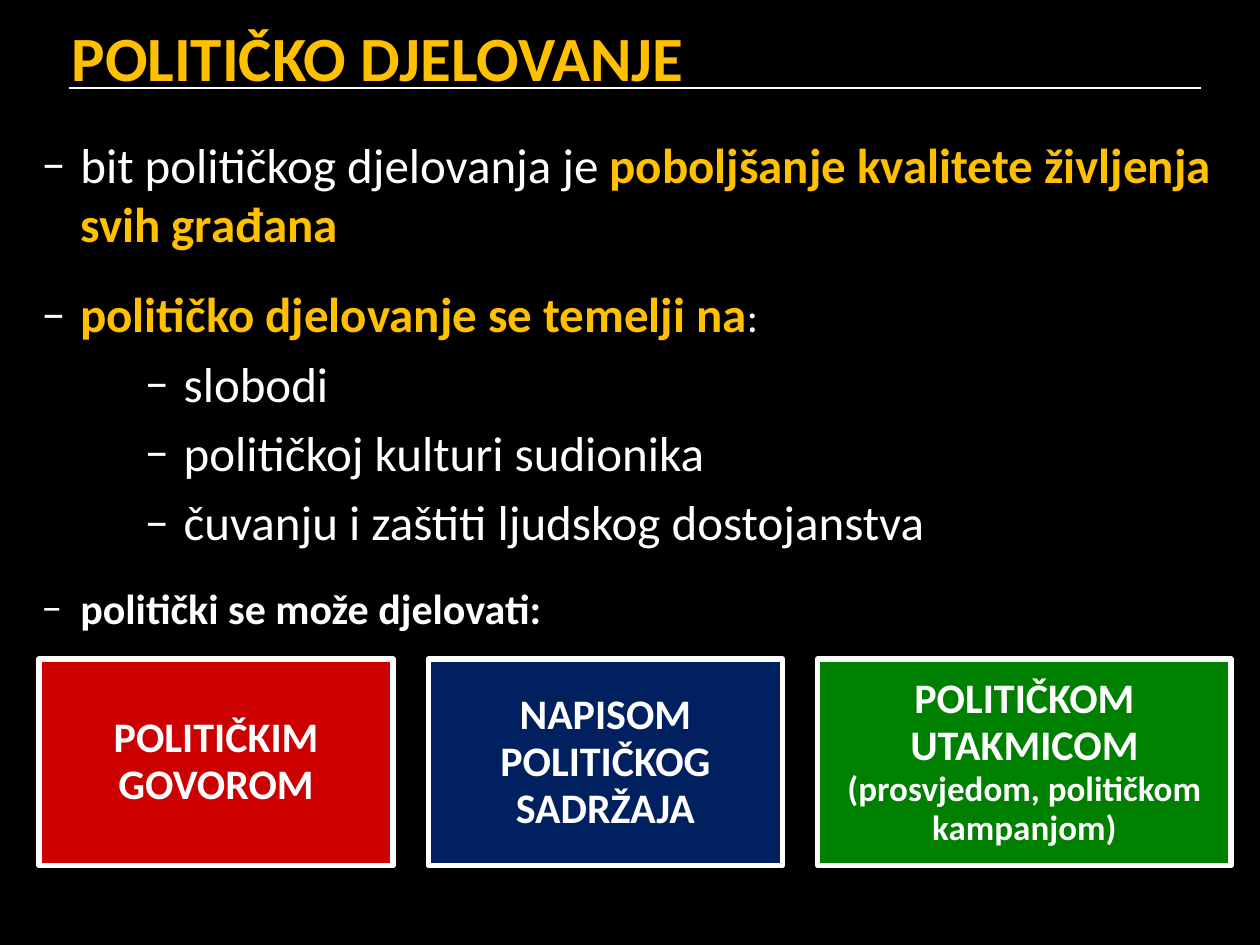
from dataclasses import dataclass

from lxml import etree
from pptx import Presentation
from pptx.dml.color import RGBColor
from pptx.enum import shapes, text
from pptx.oxml import ns
from pptx.util import Inches, Pt


@dataclass(frozen=True)
class Theme:
    font: str = "Calibri"
    background: RGBColor = RGBColor(0, 0, 0)
    white: RGBColor = RGBColor(255, 255, 255)
    gold: RGBColor = RGBColor(0xFF, 0xC0, 0)
    red: RGBColor = RGBColor(0xCC, 0, 0)
    navy: RGBColor = RGBColor(0, 0x20, 0x60)
    green: RGBColor = RGBColor(0, 0x80, 0)
    title: int = 36
    body: int = 28
    label: int = 24
    detail: int = 20


THEME = Theme()


def style_font(font, size, color=THEME.white, bold=False):
    font.name = THEME.font
    font.size = Pt(size)
    font.color.rgb = color
    font.bold = bold


def add_run(paragraph, wording, *style):
    run = paragraph.add_run()
    run.text = wording
    style_font(run.font, *style)


def add_dash(paragraph, indent):
    """Give the paragraph a white dash bullet with a hanging indent."""
    properties = paragraph._p.get_or_add_pPr()
    properties.set("marL", str(Inches(indent)))
    properties.set("indent", str(Inches(-0.31)))
    color = etree.SubElement(properties, ns.qn("a:buClr"))
    etree.SubElement(color, ns.qn("a:srgbClr"), val=str(THEME.white))
    etree.SubElement(properties, ns.qn("a:buFont"), typeface=THEME.font)
    etree.SubElement(properties, ns.qn("a:buChar"), char="–")


def add_title(slide, left, top, width, height):
    box = slide.shapes.add_textbox(left, top, width, height)
    frame = box.text_frame
    frame.word_wrap = True
    frame.margin_top = Inches(0.07)
    paragraph = frame.paragraphs[0]
    paragraph.text = "POLITIČKO DJELOVANJE"
    style_font(paragraph.font, THEME.title, THEME.gold, True)


def add_rule(slide, left, top, width):
    line = slide.shapes.add_connector(
        shapes.MSO_CONNECTOR.STRAIGHT, left, top, left + width, top)
    line.line.color.rgb = THEME.white
    line.line.width = Pt(1)
    etree.SubElement(line._element.spPr, ns.qn("a:effectLst"))


def add_points(slide, left, top, width, height):
    plain = (THEME.body,)
    strong = (THEME.body, THEME.gold, True)
    points = [
        (0, [("bit političkog djelovanja je ", plain),
             ("poboljšanje kvalitete življenja svih građana", strong)]),
        (0, [("političko djelovanje se temelji na", strong),
             (":", (THEME.label,))]),
        (1, [("slobodi", plain)]),
        (1, [("političkoj kulturi sudionika", plain)]),
        (1, [("čuvanju i zaštiti ljudskog dostojanstva", plain)]),
        (0, [("politički se može djelovati:",
              (THEME.label, THEME.white, True))]),
    ]
    frame = slide.shapes.add_textbox(left, top, width, height).text_frame
    frame.word_wrap = True
    for index, (level, runs) in enumerate(points):
        paragraph = frame.add_paragraph() if index else frame.paragraphs[0]
        paragraph.level = level
        paragraph.space_before = Pt(6 if level else 18)
        add_dash(paragraph, 1.13 if level else 0.31)
        for wording, style in runs:
            add_run(paragraph, wording, *style)


def add_card(slide, left, top, width, height, fill, label, detail=""):
    card = slide.shapes.add_shape(
        shapes.MSO_SHAPE.RECTANGLE, left, top, width, height)
    card.shadow.inherit = False
    card.fill.solid()
    card.fill.fore_color.rgb = fill
    card.line.color.rgb = THEME.white
    card.line.width = Pt(3)
    frame = card.text_frame
    frame.word_wrap = True
    frame.vertical_anchor = text.MSO_ANCHOR.MIDDLE
    paragraph = frame.paragraphs[0]
    paragraph.alignment = text.PP_ALIGN.CENTER
    paragraph.line_spacing = 0.93
    add_run(paragraph, label, THEME.label, THEME.white, True)
    if detail:
        add_run(paragraph, detail, THEME.detail, THEME.white, True)


def add_cards(slide, left, top, height, gap):
    cards = [
        (2.81, THEME.red, "POLITIČKIM GOVOROM"),
        (2.81, THEME.navy, "NAPISOM POLITIČKOG SADRŽAJA"),
        (3.28, THEME.green, "POLITIČKOM UTAKMICOM ",
         "(prosvjedom, političkom kampanjom)"),
    ]
    for width, *content in cards:
        add_card(slide, left, top, Inches(width), height, *content)
        left += Inches(width) + gap


def main():
    presentation = Presentation()
    presentation.slide_width = Inches(10)
    presentation.slide_height = Inches(7.5)
    slide = presentation.slides.add_slide(presentation.slide_layouts[6])
    slide.background.fill.solid()
    slide.background.fill.fore_color.rgb = THEME.background
    add_rule(slide, Inches(0.55), Inches(0.7), Inches(8.98))
    add_points(slide, Inches(0.23), Inches(1.02), Inches(9.84), Inches(6.17))
    add_title(slide, Inches(0.47), Inches(0.08), Inches(9.53), Inches(0.63))
    add_cards(slide, Inches(0.31), Inches(5.23), Inches(1.64), Inches(0.28))
    presentation.save("out.pptx")


if __name__ == "__main__":
    main()
